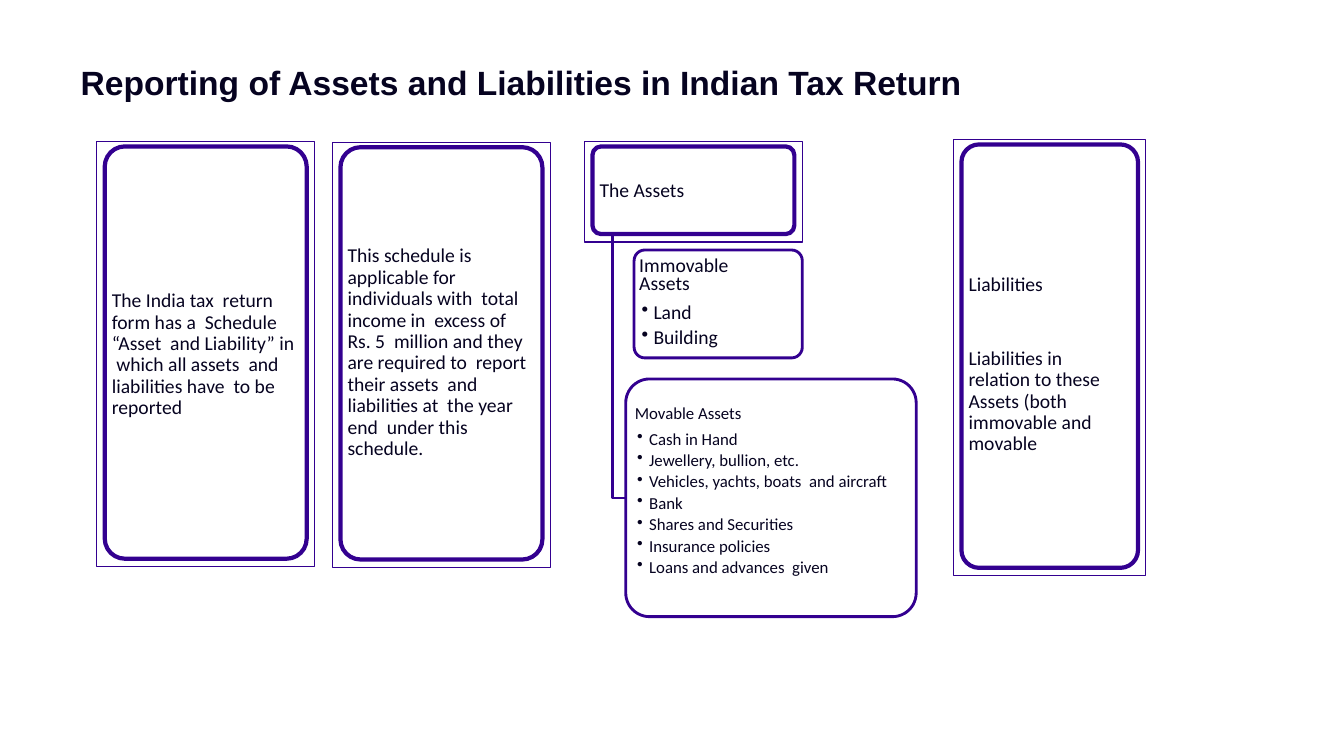
from lxml.etree import SubElement
from pptx import Presentation
from pptx.dml.color import RGBColor
from pptx.enum.shapes import MSO_SHAPE
from pptx.enum.text import MSO_ANCHOR, PP_ALIGN
from pptx.oxml.ns import qn
from pptx.util import Cm, Pt

INK, VIOLET, WHITE = "060320", "330090", "FFFFFF"
REPORTING = (
    "The India tax  return form has a  Schedule “Asset  and Liability” in  "
    "which all assets  and liabilities have  to be reported"
)
APPLICABILITY = (
    "This schedule is  applicable for  individuals with  total income in  excess of "
    "Rs. 5  million and they  are required to  report their assets  and liabilities "
    "at  the year end  under this  schedule."
)
RELATED = "Liabilities in  relation to these  Assets (both  immovable and  movable"
IMMOVABLE = ["Land", "Building"]
MOVABLE = [
    "Cash in Hand",
    "Jewellery, bullion, etc.",
    "Vehicles, yachts, boats  and aircraft",
    "Bank",
    "Shares and Securities",
    "Insurance policies",
    "Loans and advances  given",
]


def color(hex_code):
    """Return the RGB colour for a hex string."""
    return RGBColor.from_string(hex_code)


def add_border(slide, preset, box, weight):
    """Draw a white shape with a violet outline in the box, in cm."""
    border = slide.shapes.add_shape(preset, *map(Cm, box))
    border.shadow.inherit = False
    border.fill.solid()
    border.fill.fore_color.rgb = color(WHITE)
    border.line.color.rgb = color(VIOLET)
    border.line.width = Pt(weight)
    if preset == MSO_SHAPE.ROUNDED_RECTANGLE:
        border.adjustments[0] = 0.1


def format_paragraph(paragraph, size, font="Calibri", bold=False):
    """Set the font of every run in the paragraph."""
    paragraph.alignment = PP_ALIGN.LEFT
    for run in paragraph.runs:
        run.font.name = font
        run.font.size = Pt(size)
        run.font.bold = bold
        run.font.color.rgb = color(INK)


def add_words(slide, box, text, size=14, inset=0.15, spacing=None, items=()):
    """Write a text and its bulleted items in the box, in cm."""
    frame = slide.shapes.add_textbox(*map(Cm, box)).text_frame
    frame.word_wrap = True
    frame.margin_left = frame.margin_right = frame.margin_bottom = 0
    frame.margin_top = Cm(inset)
    lead = frame.paragraphs[0]
    lead.text = text
    lead.line_spacing = spacing
    format_paragraph(lead, size)
    for index, item in enumerate(items):
        bullet = frame.add_paragraph()
        bullet.text = item
        bullet.space_before = Pt(0.9 if index else 3.8)
        properties = bullet._p.get_or_add_pPr()
        properties.set("marL", str(Cm(0.36)))
        properties.set("indent", str(Cm(-0.3)))
        SubElement(properties, qn("a:buChar"), char="•")
        format_paragraph(bullet, size)


def add_title(slide, box, text):
    """Place the slide title in the box."""
    title = slide.shapes.title
    title.left, title.top, title.width, title.height = map(Cm, box)
    frame = title.text_frame
    frame.text = text
    frame.word_wrap = True
    frame.vertical_anchor = MSO_ANCHOR.TOP
    frame.margin_top = Cm(0.2)
    format_paragraph(frame.paragraphs[0], 24, "Arial", True)


def add_card(slide, box, passages):
    """Draw a double-framed card with passages as (top, height, text, inset, spacing)."""
    left, top, width, height = box
    add_border(slide, MSO_SHAPE.RECTANGLE, box, 0.75)
    inner = (left + 0.2, top + 0.13, width - 0.4, height - 0.33)
    add_border(slide, MSO_SHAPE.ROUNDED_RECTANGLE, inner, 3)
    for offset, depth, text, inset, spacing in passages:
        words = (left + 0.38, top + offset, width - 0.76 + 0.0, depth)
        words = (words[0], words[1], width - 0.88, depth)
        add_words(slide, words, text, inset=inset, spacing=spacing)


def add_asset_group(slide, box, pad, words_size, heading, items, **style):
    """Draw a rounded box listing one kind of asset."""
    left, top, _, _ = box
    add_border(slide, MSO_SHAPE.ROUNDED_RECTANGLE, box, 2.04)
    words = (left + pad[0], top + pad[1], *words_size)
    add_words(slide, words, heading, items=items, **style)


def add_assets(slide, left, top):
    """Draw the assets card with its branch and the two asset groups."""
    add_card(slide, (left, top, 5.49, 2.54), [(0.86, 0.64, "The Assets", 0.06, None)])
    trunk, elbow, group = left + 0.71, top + 8.99, left + 1.04
    branch = slide.shapes.build_freeform(Cm(trunk), Cm(top + 2.33))
    branch.add_line_segments(
        [(Cm(trunk), Cm(elbow)), (Cm(group), Cm(elbow))], close=False
    )
    line = branch.convert_to_shape()
    line.shadow.inherit = False
    line.fill.background()
    line.line.color.rgb = color(VIOLET)
    line.line.width = Pt(2.04)
    add_asset_group(
        slide, (left + 1.25, top + 2.74, 4.24, 2.72), (0.13, 0.03), (3.2, 2.39),
        "Immovable  Assets", IMMOVABLE, inset=0.16, spacing=Pt(13.2),
    )
    add_asset_group(
        slide, (group, top + 5.99, 7.32, 5.99), (0.23, 0.25), (6.63, 5.08),
        "Movable Assets", MOVABLE, size=12, inset=0.35,
    )


def main():
    """Build the slide and save it."""
    deck = Presentation()
    deck.slide_width, deck.slide_height = Cm(33.87), Cm(19.05)
    slide = deck.slides.add_slide(deck.slide_layouts[5])
    add_title(
        slide, (1.78, 1.35, 26.09, 2.39),
        "Reporting of Assets and Liabilities in Indian Tax Return",
    )
    add_card(slide, (2.44, 3.56, 5.49, 10.72), [(3.61, 3.89, REPORTING, 0.15, 0.91)])
    add_card(slide, (8.38, 3.58, 5.49, 10.72), [(2.46, 6.07, APPLICABILITY, 0.15, 0.91)])
    add_assets(slide, 14.73, 3.56)
    add_card(
        slide, (24.03, 3.51, 4.85, 11),
        [(3.28, 0.64, "Liabilities", 0.06, None), (5.11, 2.79, RELATED, 0.15, 0.91)],
    )
    deck.save("out.pptx")


if __name__ == "__main__":
    main()
